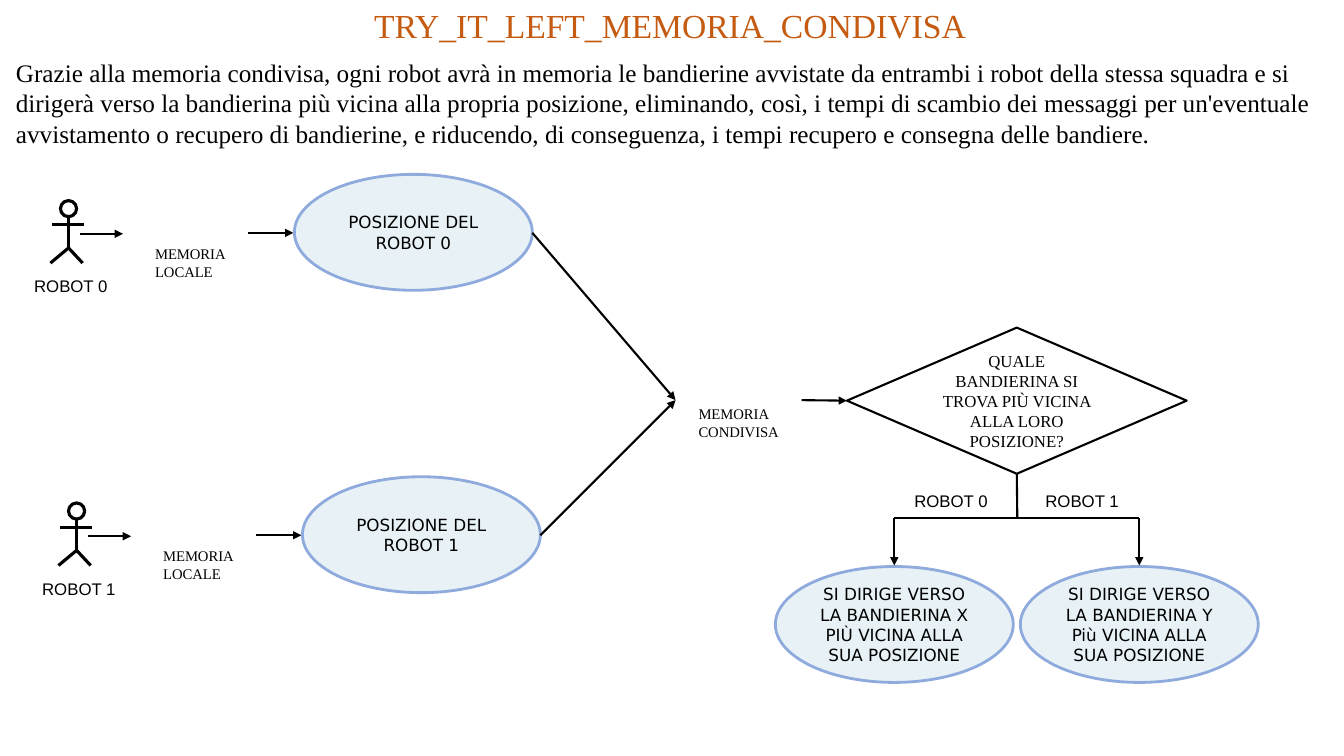
"""Flowchart slide: two robots share flag positions through a common memory."""
from dataclasses import dataclass

from lxml import etree
from pptx import Presentation
from pptx.dml.color import RGBColor
from pptx.enum.shapes import MSO_CONNECTOR as CONN, MSO_SHAPE as SHAPE
from pptx.enum.text import MSO_ANCHOR as ANCHOR, PP_ALIGN as ALIGN
from pptx.oxml.ns import qn
from pptx.util import Inches, Pt


@dataclass(frozen=True)
class Theme:
    black: RGBColor = RGBColor.from_string("000000")
    white: RGBColor = RGBColor.from_string("FFFFFF")
    orange: RGBColor = RGBColor.from_string("C55A11")
    pale: RGBColor = RGBColor.from_string("E8F2F6")
    blue: RGBColor = RGBColor.from_string("8FAADC")
    serif: str = "Times New Roman"
    sans: str = "Arial"
    node: str = "DejaVu Sans"
    title: Pt = Pt(24)
    body: Pt = Pt(18)
    label: Pt = Pt(12)
    small: Pt = Pt(10.5)
    thin: Pt = Pt(1.5)
    edge: Pt = Pt(2)
    thick: Pt = Pt(2.25)


T = Theme()
NODE_W, NODE_H = 2.36, 1.15

prs = Presentation()
prs.slide_width, prs.slide_height = Inches(13.33), Inches(7.5)
s = prs.slides.add_slide(prs.slide_layouts[5])


def add_box(box, text, font, size, kind=None, fill=T.white, line=T.black, width=T.thin):
    """Add a text box, or a filled shape with centred text when a kind is given."""
    box = [Inches(v) for v in box]
    if kind is None:
        sp = s.shapes.add_textbox(*box)
    else:
        sp = s.shapes.add_shape(kind, *box)
        sp.shadow.inherit = False
        sp.fill.solid()
        sp.fill.fore_color.rgb = fill
        sp.line.color.rgb = line
        sp.line.width = width
    tf = sp.text_frame
    tf.word_wrap = True
    tf.vertical_anchor = ANCHOR.MIDDLE if kind else ANCHOR.TOP
    p = tf.paragraphs[0]
    p.alignment = ALIGN.CENTER if kind else ALIGN.LEFT
    p.text = text
    p.font.name, p.font.size, p.font.color.rgb = font, size, T.black
    return sp


def add_line(x1, y1, x2, y2, width=T.thin, arrow=True):
    """Add a straight black line, by default with an arrowhead at its end."""
    c = s.shapes.add_connector(CONN.STRAIGHT, Inches(x1), Inches(y1), Inches(x2), Inches(y2))
    c.line.color.rgb = T.black
    c.line.width = width
    if arrow:
        etree.SubElement(c.line._get_or_add_ln(), qn("a:tailEnd"), type="triangle")
    etree.SubElement(c._element.spPr, qn("a:effectLst"))
    return c


title = s.shapes.title
title.left, title.top, title.width, title.height = [Inches(v) for v in (-0.05, 0, 13.39, 0.5)]
title.text_frame.vertical_anchor = ANCHOR.TOP
p = title.text_frame.paragraphs[0]
p.text = "TRY_IT_LEFT_MEMORIA_CONDIVISA"
p.alignment = ALIGN.CENTER
p.font.name, p.font.size, p.font.color.rgb = T.serif, T.title, T.orange

add_box((0.06, 0.52, 13.27, 1.01),
        "Grazie alla memoria condivisa, ogni robot avrà in memoria le bandierine avvistate "
        "da entrambi i robot della stessa squadra e si dirigerà verso la bandierina più "
        "vicina alla propria posizione, eliminando, così, i tempi di scambio dei messaggi "
        "per un'eventuale avvistamento o recupero di bandierine, e riducendo, di "
        "conseguenza, i tempi recupero e consegna delle bandiere.", T.serif, T.body)

for name, x, y in (("ROBOT 0", 0, 0), ("ROBOT 1", 0.08, 3)):
    for x1, y1, x2, y2 in ((0.68, 2.14, 0.68, 2.46), (0.68, 2.46, 0.5, 2.61),
                           (0.68, 2.46, 0.82, 2.61), (0.52, 2.23, 0.83, 2.23)):
        add_line(x + x1, y + y1, x + x2, y + y2, T.thick, arrow=False)
    add_box((x + 0.6, y + 1.99, 0.16, 0.16), "", T.sans, T.label, SHAPE.OVAL, width=T.thick)
    add_line(x + 0.79, y + 2.32, x + 1.22, y + 2.32)
    add_box((x + 0.24, y + 2.69, 1.03, 0.3), name, T.sans, T.label)
    add_box((x + 1.44, y + 2.38, 1.03, 0.45), "MEMORIA LOCALE", T.serif, T.small)
    add_line(x + 2.46, y + 2.31, x + 2.91, y + 2.31)
    add_box((x + 2.92, y + 1.73, NODE_W, NODE_H), f"POSIZIONE DEL {name}",
            T.node, T.label, SHAPE.OVAL, T.pale, T.blue, T.edge)
    add_line(x + 5.28, y + 2.31, 6.7, 3.97)

add_box((6.83, 3.97, 1.03, 0.45), "MEMORIA CONDIVISA", T.serif, T.small)
decision = add_box((8.4, 3.25, 3.37, 1.45),
                   "QUALE BANDIERINA SI TROVA PIÙ VICINA ALLA LORO POSIZIONE?",
                   T.serif, T.label, SHAPE.FLOWCHART_DECISION)
add_line(7.95, 3.97, 8.4, 3.97).end_connect(decision, 1)
add_line(10.09, 4.7, 10.09, 5.14, arrow=False).begin_connect(decision, 2)
add_line(8.87, 5.14, 11.3, 5.14, arrow=False)

for name, label_x, node_x, target in (
        ("ROBOT 0", 8.97, 7.69, "SI DIRIGE VERSO LA BANDIERINA X PIÙ VICINA ALLA SUA POSIZIONE"),
        ("ROBOT 1", 10.27, 10.12, "SI DIRIGE VERSO LA BANDIERINA Y Più VICINA ALLA SUA POSIZIONE")):
    add_box((label_x, 4.82, 1.03, 0.3), name, T.sans, T.label)
    add_box((node_x, 5.62, NODE_W, NODE_H), target,
            T.node, T.label, SHAPE.OVAL, T.pale, T.blue, T.edge)
    add_line(node_x + NODE_W / 2, 5.14, node_x + NODE_W / 2, 5.61)

prs.save("out.pptx")
